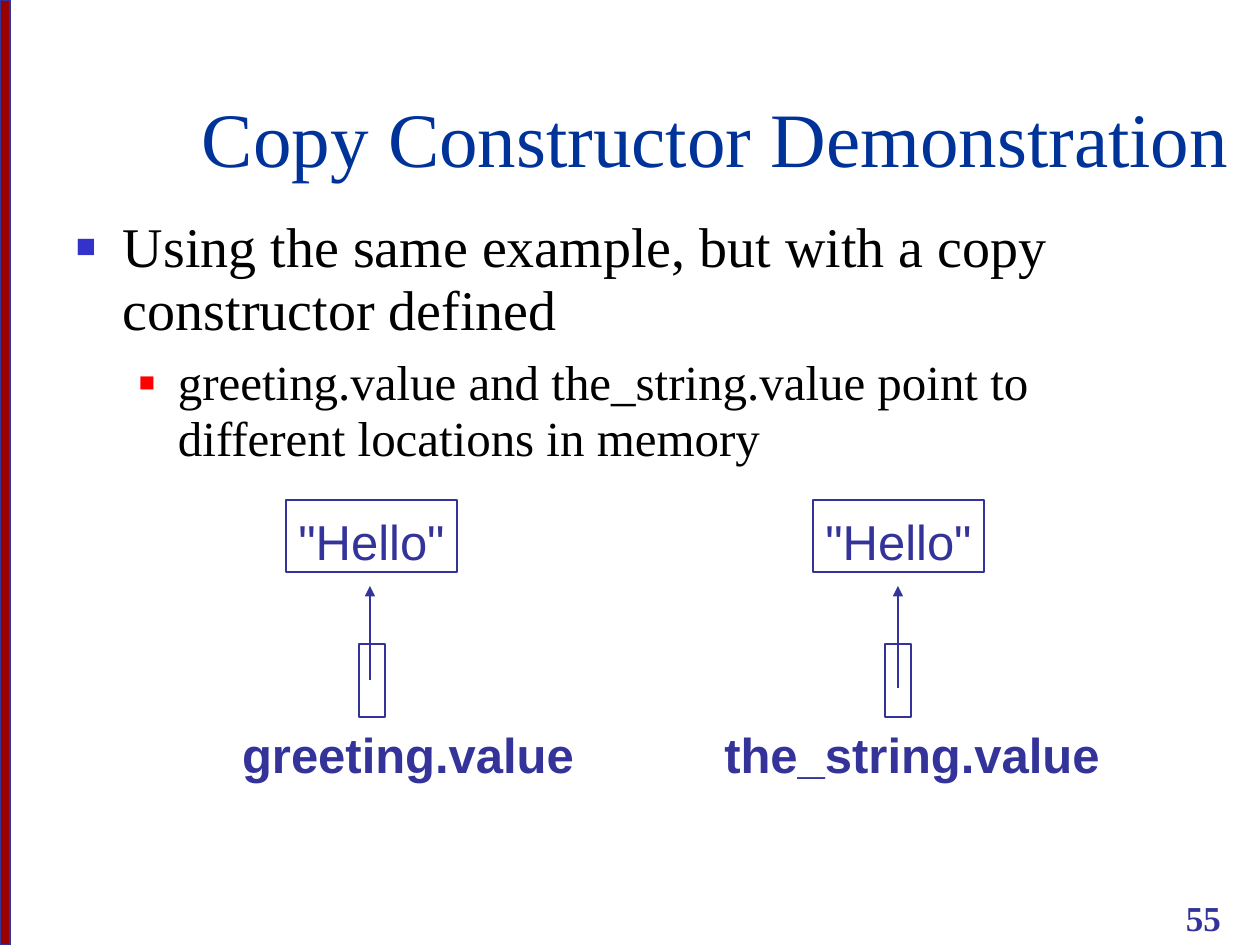
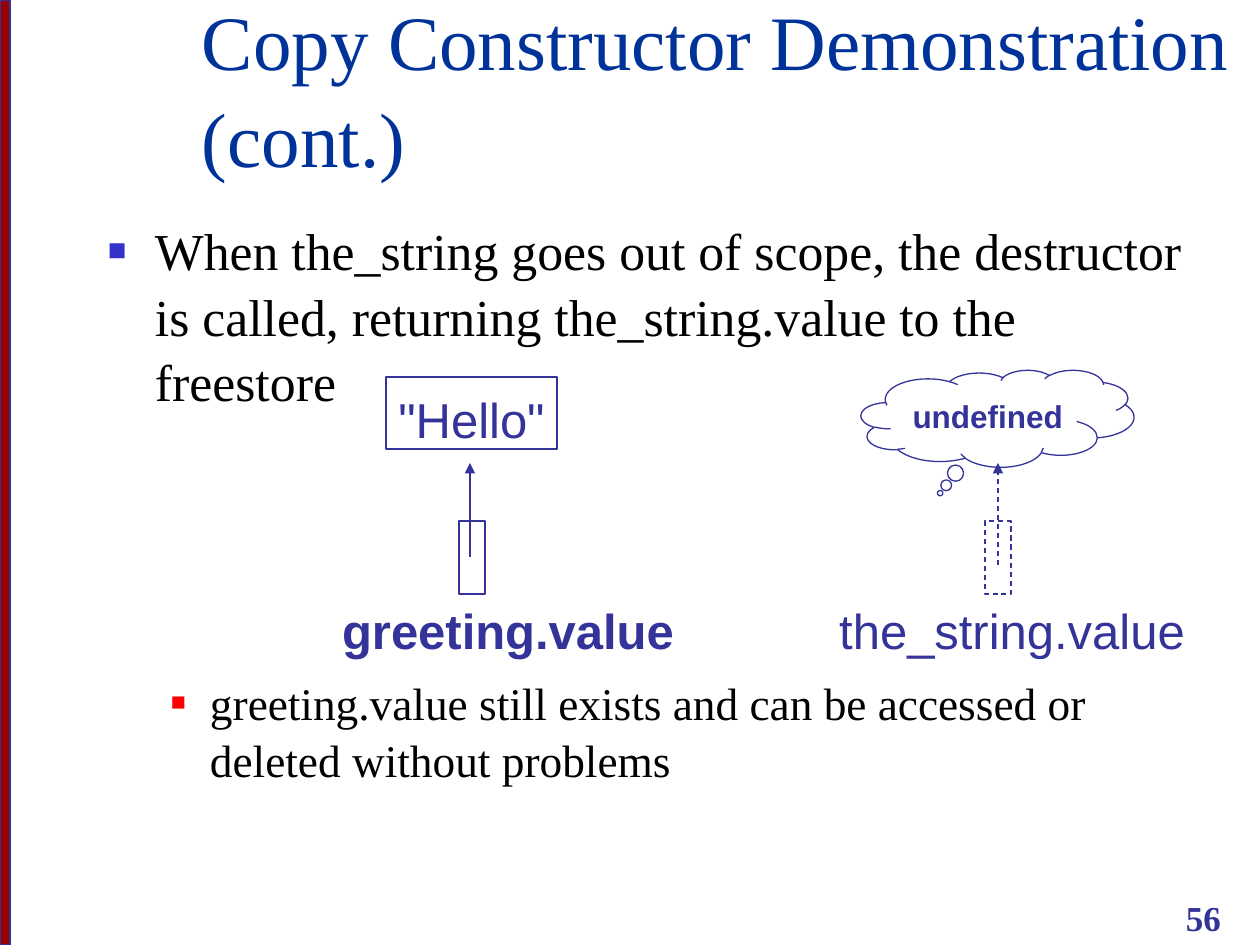
from lxml.etree import SubElement
from pptx import Presentation
from pptx.dml.color import RGBColor
from pptx.enum.dml import MSO_LINE_DASH_STYLE as DASH
from pptx.enum.shapes import MSO_CONNECTOR as CONNECTOR, MSO_SHAPE as SHAPE
from pptx.enum.text import MSO_ANCHOR as ANCHOR, MSO_AUTO_SIZE as AUTO_SIZE, PP_ALIGN as ALIGN
from pptx.oxml.ns import qn
from pptx.util import Pt

PX = 914400 / 126
SERIF, SANS = "Times New Roman", "Arial"
INK, TITLE_BLUE, BAR_RED, BLACK = "333399", "003399", "990000", "000000"
BULLETS = [
    {"color": "3333CC", "percent": 60, "margin": 47, "hang": 47},
    {"color": "FF0000", "percent": 55, "margin": 102, "hang": 39},
]


def px(*lengths):
    return [round(length * PX) for length in lengths]


def rgb(color):
    return RGBColor.from_string(color)


def write(paragraph, text, size=28, font=SANS, color=INK, bold=False,
          align=ALIGN.LEFT, spacing=None, before=0):
    paragraph.alignment = align
    paragraph.line_spacing = spacing
    paragraph.space_before = Pt(before)
    for index, line in enumerate(text.split("\n")):
        if index:
            paragraph.add_line_break()
        run = paragraph.add_run()
        run.text = line
        run.font.size = Pt(size)
        run.font.name = font
        run.font.bold = bold
        run.font.color.rgb = rgb(color)


def set_frame(frame, anchor=ANCHOR.TOP, wrap=True, top=6):
    frame.auto_size = AUTO_SIZE.NONE
    frame.word_wrap = wrap
    frame.vertical_anchor = anchor
    frame.margin_left, frame.margin_right, frame.margin_top, frame.margin_bottom = px(13, 13, top, 6)


def place(placeholder, left, top, width, height):
    placeholder.left, placeholder.top, placeholder.width, placeholder.height = px(
        left, top, width, height)


def set_line(line, dashed=False):
    line.color.rgb = rgb(INK)
    line.width = Pt(0.75)
    if dashed:
        line.dash_style = DASH.DASH


def add_bullet(paragraph, level):
    style = BULLETS[level]
    paragraph.level = level
    props = paragraph._p.get_or_add_pPr()
    margin, hang = px(style["margin"], style["hang"])
    props.set("marL", str(margin))
    props.set("indent", str(-hang))
    SubElement(SubElement(props, qn("a:buClr")), qn("a:srgbClr"), val=style["color"])
    SubElement(props, qn("a:buSzPct"), val=str(style["percent"] * 1000))
    SubElement(props, qn("a:buFont"), typeface=SANS)
    SubElement(props, qn("a:buChar"), char="■")


def add_outline(slide, kind, left, top, width, height, fill=None, dashed=False):
    outline = slide.shapes.add_shape(kind, *px(left, top, width, height))
    outline.shadow.inherit = False
    if fill:
        outline.fill.solid()
        outline.fill.fore_color.rgb = rgb(fill)
    else:
        outline.fill.background()
    set_line(outline.line, dashed)
    return outline


def add_text(slide, text, left, top, width, height, anchor=ANCHOR.TOP, wrap=True, inset=6, **style):
    box = slide.shapes.add_textbox(*px(left, top, width, height))
    set_frame(box.text_frame, anchor, wrap, inset)
    write(box.text_frame.paragraphs[0], text, **style)


def add_arrow(slide, x, start, end, dashed=False):
    arrow = slide.shapes.add_connector(CONNECTOR.STRAIGHT, *px(x, start, x, end))
    set_line(arrow.line, dashed)
    SubElement(arrow.line._get_or_add_ln(), qn("a:tailEnd"), type="triangle")
    SubElement(arrow._element.spPr, qn("a:effectLst"))


def add_value(slide, left, top):
    value = add_outline(slide, SHAPE.RECTANGLE, left, top, 171, 72)
    set_frame(value.text_frame, wrap=False, top=12)
    write(value.text_frame.paragraphs[0], '"Hello"', align=ALIGN.CENTER)


def add_undefined(slide, left, top):
    cloud = add_outline(slide, SHAPE.CLOUD_CALLOUT, left, top, 273, 97)
    cloud.adjustments[0], cloud.adjustments[1] = -0.21, 0.77
    set_frame(cloud.text_frame, ANCHOR.MIDDLE)
    write(cloud.text_frame.paragraphs[0], "undefined", size=18, bold=True, align=ALIGN.CENTER)


def add_pointer(slide, name, left, top, arrow_x, arrow_start, label_center, label_width, freed=False):
    add_text(slide, name, label_center - label_width / 2, top + 68, label_width, 72,
             wrap=False, inset=12, bold=not freed, align=ALIGN.CENTER)
    add_outline(slide, SHAPE.RECTANGLE, left, top, 26, 73, dashed=freed)
    add_arrow(slide, arrow_x, arrow_start, top - 58, freed)


def add_memory(slide, x, y, freed=False):
    add_pointer(slide, "greeting.value", x + 73, y + 144, x + 84, y + 180, x + 122, 357)
    add_pointer(slide, "the_string.value", x + 599, y + 144, x + 612, y + 188, x + 626, 401, freed)
    add_value(slide, x, y)
    if freed:
        add_undefined(slide, x + 475, y - 7)
    else:
        add_value(slide, x + 527, y)


def add_page(deck, title, number, points, body_left, sizes, spacing, detail_gap):
    slide = deck.slides.add_slide(deck.slide_layouts[1])
    add_outline(slide, SHAPE.RECTANGLE, 0, 0, 10, 945, fill=BAR_RED)
    heading, body = slide.shapes.title, slide.placeholders[1]
    place(heading, 189, 10, 1061, 179)
    set_frame(heading.text_frame, ANCHOR.BOTTOM)
    write(heading.text_frame.paragraphs[0], title, size=44, font=SERIF,
          color=TITLE_BLUE, spacing=1.05)
    place(body, body_left, 210, 1164, 630)
    set_frame(body.text_frame)
    for level, (point, size) in enumerate(zip(points, sizes)):
        paragraph = body.text_frame.add_paragraph() if level else body.text_frame.paragraphs[0]
        add_bullet(paragraph, level)
        write(paragraph, point, size=size, font=SERIF, color=BLACK, spacing=spacing,
              before=detail_gap if level else 0)
    add_text(slide, str(number), 972, 882, 262, 63, anchor=ANCHOR.BOTTOM,
             size=20, font=SERIF, bold=True, align=ALIGN.RIGHT)
    return slide


def main():
    deck = Presentation()
    deck.slide_width, deck.slide_height = px(1260, 945)
    title = "Copy Constructor Demonstration"

    separate = add_page(
        deck, title, 55,
        ["Using the same example, but with a copy\nconstructor defined",
         "greeting.value and the_string.value point to\ndifferent locations in memory"],
        body_left=63, sizes=(32, 28), spacing=0.95, detail_gap=7)
    add_memory(separate, 286, 500)

    destroyed = add_page(
        deck, f"{title} (cont.)", 56,
        ["When the_string goes out of scope, the destructor\n"
         "is called, returning the_string.value to the\nfreestore",
         "greeting.value still exists and can be accessed or\ndeleted without problems"],
        body_left=95, sizes=(29.6, 25.9), spacing=1.05, detail_gap=149)
    add_memory(destroyed, 386, 377, freed=True)

    deck.save("out.pptx")


if __name__ == "__main__":
    main()
